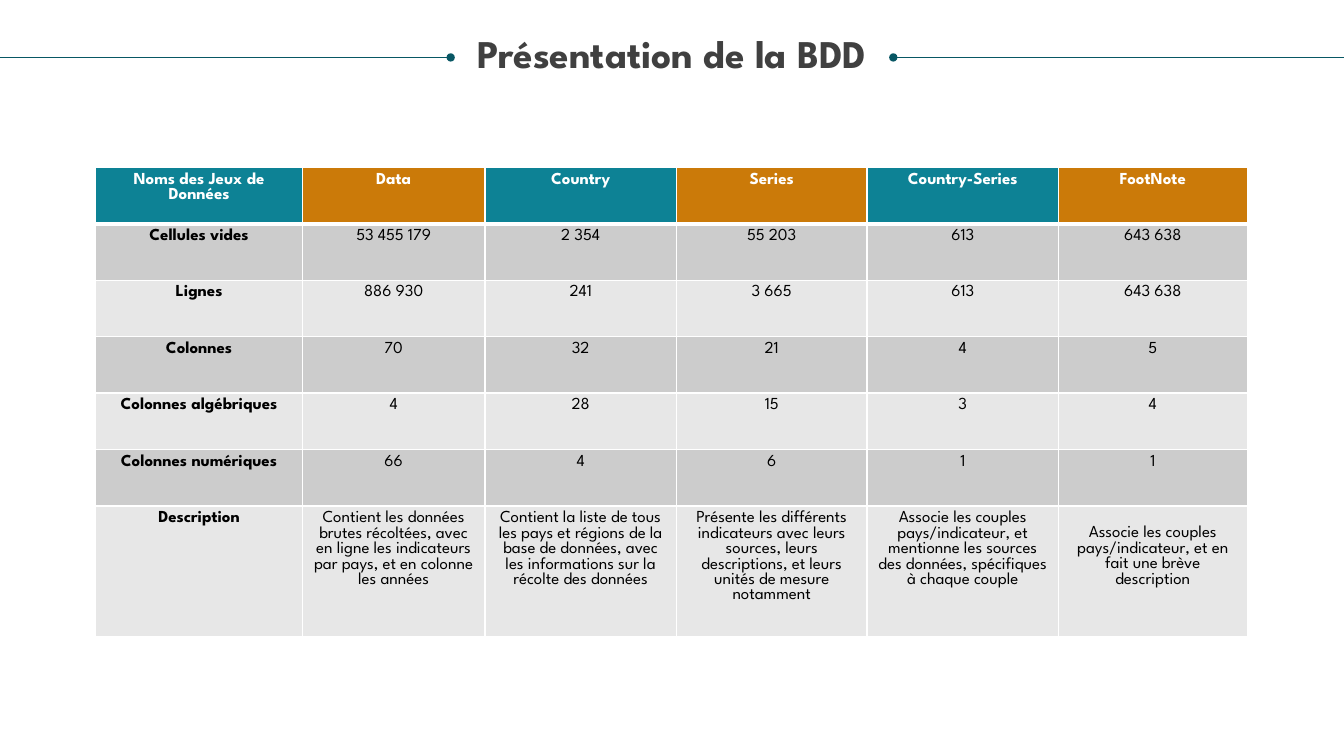
from lxml import etree
from pptx import Presentation
from pptx.dml.color import RGBColor
from pptx.enum.shapes import MSO_CONNECTOR
from pptx.enum.text import MSO_ANCHOR, PP_ALIGN
from pptx.oxml.ns import qn
from pptx.util import Inches, Pt

FONT = "League Spartan"
COLORS = {
    "title": "404040", "line": "085764", "teal": "0D8295", "orange": "CB7A09",
    "dark_band": "CCCCCC", "light_band": "E7E7E7", "white": "FFFFFF", "black": "000000",
}
COLUMN_WIDTHS = [2.05, 1.81, 1.9, 1.89, 1.9, 1.87]
ROW_HEIGHTS = [0.56] * 6 + [1.3]
ROWS = [
    ["Noms des Jeux de Données", "Data", "Country", "Series", "Country-Series", "FootNote"],
    ["Cellules vides", "53 455 179", "2 354", "55 203", "613", "643 638"],
    ["Lignes", "886 930", "241", "3 665", "613", "643 638"],
    ["Colonnes", "70", "32", "21", "4", "5"],
    ["Colonnes algébriques", "4", "28", "15", "3", "4"],
    ["Colonnes numériques", "66", "4", "6", "1", "1"],
    ["Description",
     "Contient les données brutes récoltées, avec en ligne les indicateurs par pays, "
     "et en colonne les années",
     "Contient la liste de tous les pays et régions de la base de données, "
     "avec les informations sur la récolte des données",
     "Présente les différents indicateurs avec leurs sources, leurs descriptions, "
     "et leurs unités de mesure notamment",
     "Associe les couples pays/indicateur, et mentionne les sources des données, "
     "spécifiques à chaque couple",
     "Associe les couples pays/indicateur, et en fait une brève description"],
]


def format_text(paragraph, size, color, bold):
    paragraph.alignment = PP_ALIGN.CENTER
    for run in paragraph.runs:
        run.font.name = FONT
        run.font.size = Pt(size)
        run.font.bold = bold
        run.font.color.rgb = RGBColor.from_string(COLORS[color])


def add_border(cell, side, width):
    properties = cell._tc.get_or_add_tcPr()
    border = etree.SubElement(properties, qn(f"a:ln{side}"), w=str(Pt(width)))
    fill = etree.SubElement(border, qn("a:solidFill"))
    etree.SubElement(fill, qn("a:srgbClr"), val=COLORS["white"])


presentation = Presentation()
presentation.slide_width = Inches(13.33)
presentation.slide_height = Inches(7.5)
slide = presentation.slides.add_slide(presentation.slide_layouts[6])

# Title
title = slide.shapes.add_textbox(Inches(0.25), Inches(0.34), Inches(12.83), Inches(0.85))
frame = title.text_frame
frame.word_wrap = True
frame.vertical_anchor = MSO_ANCHOR.TOP
frame.margin_left = frame.margin_top = frame.margin_right = frame.margin_bottom = 0
frame.text = "Présentation de la BDD"
frame.paragraphs[0].line_spacing = 0.9
format_text(frame.paragraphs[0], 28, "title", True)

# Lines on both sides of the title, with a dot at the inner end
for start, end, dot in [(0, 4.47, "tailEnd"), (8.86, 13.33, "headEnd")]:
    line = slide.shapes.add_connector(
        MSO_CONNECTOR.STRAIGHT, Inches(start), Inches(0.57), Inches(end), Inches(0.57))
    line.line.color.rgb = RGBColor.from_string(COLORS["line"])
    line.line.width = Pt(0.5)
    etree.SubElement(line.line._get_or_add_ln(), qn(f"a:{dot}"), type="oval")
    etree.SubElement(line._element.spPr, qn("a:effectLst"))

# Table of the data sets
table = slide.shapes.add_table(
    len(ROWS), len(COLUMN_WIDTHS), Inches(0.95), Inches(1.66),
    Inches(sum(COLUMN_WIDTHS)), Inches(sum(ROW_HEIGHTS))).table
for column, width in zip(table.columns, COLUMN_WIDTHS):
    column.width = Inches(width)
for row, height in zip(table.rows, ROW_HEIGHTS):
    row.height = Inches(height)

for row_index, texts in enumerate(ROWS):
    is_header = row_index == 0
    band = ("light_band", "dark_band")[row_index % 2]
    for column_index, text in enumerate(texts):
        cell = table.cell(row_index, column_index)
        cell.text_frame.text = text
        format_text(cell.text_frame.paragraphs[0], 12, "white" if is_header else "black",
                    is_header or column_index == 0)
        # Borders come before the fill; the rule under the header is thicker
        for side in "LRTB":
            under_header = (row_index, side) in [(0, "B"), (1, "T")]
            add_border(cell, side, 3 if under_header else 1)
        color = ("teal", "orange")[column_index % 2] if is_header else band
        cell.fill.solid()
        cell.fill.fore_color.rgb = RGBColor.from_string(COLORS[color])

# The last description starts one line lower
table.cell(len(ROWS) - 1, len(COLUMN_WIDTHS) - 1).margin_top = Inches(0.2)

presentation.save("out.pptx")
